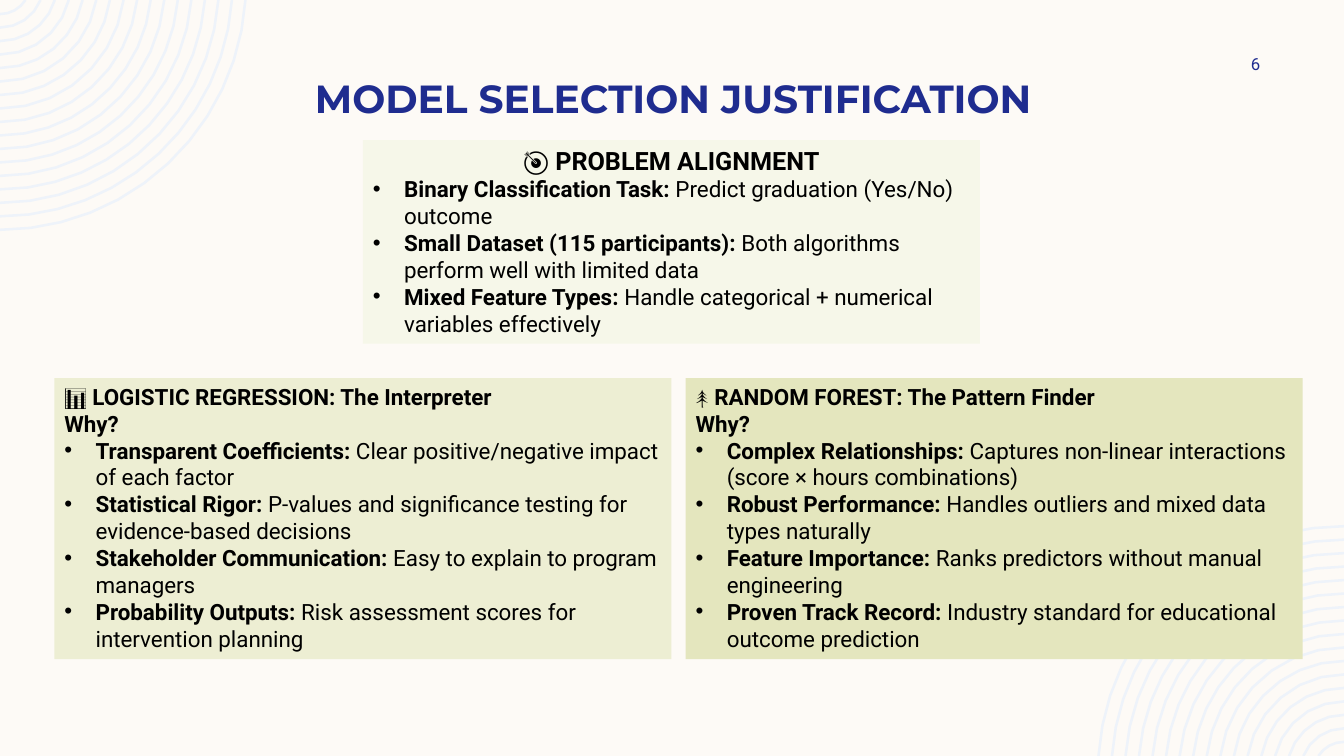
from math import asin, ceil, cos, pi, sin
from lxml.etree import SubElement
from pptx import Presentation
from pptx.dml.color import RGBColor
from pptx.enum.shapes import MSO_SHAPE
from pptx.enum.text import MSO_ANCHOR, MSO_AUTO_SIZE, PP_ALIGN
from pptx.oxml.ns import qn
from pptx.util import Inches, Pt

WIDTH, HEIGHT = 13.33, 7.5


def color(hex_string):
    return RGBColor.from_string(hex_string)


def format_run(run, size, hex_string, bold=False, font_name="Roboto"):
    run.font.name = font_name
    run.font.size = Pt(size)
    run.font.bold = bold
    run.font.color.rgb = color(hex_string)


presentation = Presentation()
presentation.slide_width = Inches(WIDTH)
presentation.slide_height = Inches(HEIGHT)
slide = presentation.slides.add_slide(presentation.slide_layouts[6])
slide.background.fill.solid()
slide.background.fill.fore_color.rgb = color("FDFAF6")

# Concentric arcs in two opposite corners, centred just outside the slide
RING_COUNT, SMALLEST_RADIUS, LARGEST_RADIUS, CENTER_OFFSET = 17, 0.3, 2.44, 0.16
RING_STEP = (LARGEST_RADIUS - SMALLEST_RADIUS) / (RING_COUNT - 1)
for corner_x, corner_y, direction in [(0, 0, 1), (WIDTH, HEIGHT, -1)]:
    builder = None
    for ring in range(RING_COUNT):
        radius = LARGEST_RADIUS - ring * RING_STEP
        start = asin(CENTER_OFFSET / radius)
        steps = 2 + ceil(4 * radius)
        arc = []
        for step in range(steps + 1):
            angle = start + (pi / 2 - start) * step / steps
            x = corner_x + direction * radius * cos(angle)
            y = corner_y + direction * (radius * sin(angle) - CENTER_OFFSET)
            arc.append((Inches(x), Inches(y)))
        if builder is None:
            builder = slide.shapes.build_freeform(*arc[0])
        else:
            builder.move_to(*arc[0])
        builder.add_line_segments(arc[1:], close=False)
    rings = builder.convert_to_shape()
    rings.shadow.inherit = False
    rings.fill.background()
    rings.line.color.rgb = color("EEF3FA")
    rings.line.width = Pt(1.8)

# Title and slide number
headings = [
    ("MODEL SELECTION JUSTIFICATION", (2.65, 0.35, 8.05, 1.02), 28, True, "Montserrat", PP_ALIGN.CENTER, 0.1),
    ("6", (11.42, 0.5, 1.08, 0.27), 12, False, "Roboto", PP_ALIGN.RIGHT, 0),
]
for text, box, size, bold, font_name, alignment, right_margin in headings:
    text_frame = slide.shapes.add_textbox(*map(Inches, box)).text_frame
    text_frame.word_wrap = True
    text_frame.vertical_anchor = MSO_ANCHOR.MIDDLE
    text_frame.margin_right = Inches(right_margin)
    text_frame.text = text
    paragraph = text_frame.paragraphs[0]
    paragraph.alignment = alignment
    if bold:
        paragraph.line_spacing = Pt(48.8)
    format_run(paragraph.runs[0], size, "1F2C8F", bold, font_name)

# Panels: box, fill, heading size, heading alignment, headings, bullets
panels = [
    ((3.6, 1.39, 6.12, 2.02), "F6F7E9", 18, PP_ALIGN.CENTER, ["🎯 PROBLEM ALIGNMENT"], [
        ("Binary Classification Task:", "Predict graduation (Yes/No) outcome"),
        ("Small Dataset (115 participants):", "Both algorithms perform well with limited data"),
        ("Mixed Feature Types:", "Handle categorical + numerical variables effectively"),
    ]),
    ((0.54, 3.75, 6.12, 2.79), "EDEED3", 16, PP_ALIGN.LEFT,
     ["📊 LOGISTIC REGRESSION: The Interpreter", "Why?"], [
        ("Transparent Coefficients:", "Clear positive/negative impact of each factor"),
        ("Statistical Rigor:", "P-values and significance testing for evidence-based decisions"),
        ("Stakeholder Communication:", "Easy to explain to program managers"),
        ("Probability Outputs:", "Risk assessment scores for intervention planning"),
    ]),
    ((6.8, 3.75, 6.12, 2.79), "E4E6BE", 16, PP_ALIGN.LEFT,
     ["🌲 RANDOM FOREST: The Pattern Finder", "Why?"], [
        ("Complex Relationships:", "Captures non-linear interactions (score × hours combinations)"),
        ("Robust Performance:", "Handles outliers and mixed data types naturally"),
        ("Feature Importance:", "Ranks predictors without manual engineering"),
        ("Proven Track Record:", "Industry standard for educational outcome prediction"),
    ]),
]
for box, fill, heading_size, heading_alignment, panel_headings, bullets in panels:
    panel = slide.shapes.add_shape(MSO_SHAPE.RECTANGLE, *map(Inches, box))
    panel.shadow.inherit = False
    panel.fill.solid()
    panel.fill.fore_color.rgb = color(fill)
    panel.line.fill.background()
    text_frame = panel.text_frame
    text_frame.word_wrap = True
    text_frame.auto_size = MSO_AUTO_SIZE.SHAPE_TO_FIT_TEXT
    text_frame.vertical_anchor = MSO_ANCHOR.TOP
    text_frame.text = "\n".join(panel_headings + [label for label, _ in bullets])

    heading_count = len(panel_headings)
    for paragraph in text_frame.paragraphs[:heading_count]:
        paragraph.alignment = heading_alignment
        format_run(paragraph.runs[0], heading_size, "000000", bold=True)

    for paragraph, (_, detail) in zip(text_frame.paragraphs[heading_count:], bullets):
        paragraph.alignment = PP_ALIGN.LEFT
        format_run(paragraph.runs[0], 16, "000000", bold=True)
        detail_run = paragraph.add_run()
        detail_run.text = " " + detail
        format_run(detail_run, 16, "000000")
        properties = paragraph._p.get_or_add_pPr()
        properties.set("marL", str(Inches(0.31)))
        properties.set("indent", str(-Inches(0.31)))
        SubElement(properties, qn("a:buFont"), typeface="Arial")
        SubElement(properties, qn("a:buChar"), char="•")

presentation.save("out.pptx")
